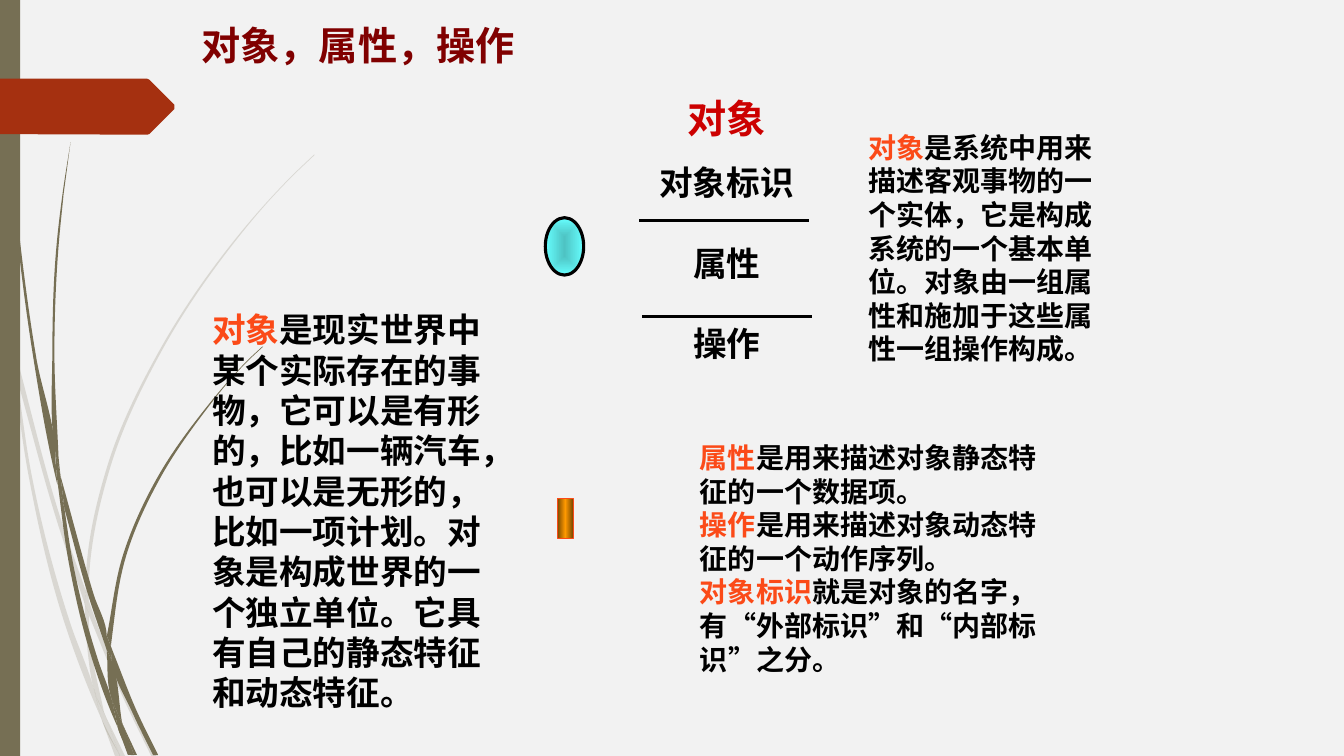
from dataclasses import dataclass
from math import dist

from lxml.etree import SubElement
from pptx import Presentation
from pptx.dml.color import RGBColor
from pptx.enum.lang import MSO_LANGUAGE_ID
from pptx.enum.shapes import MSO_CONNECTOR, MSO_SHAPE
from pptx.enum.text import PP_ALIGN
from pptx.oxml import parse_xml
from pptx.oxml.ns import nsdecls, qn
from pptx.util import Pt


@dataclass(frozen=True)
class Theme:
    background: str = "F2F2F2"
    olive: str = "766F54"
    rust: str = "A53010"
    title: str = "800000"
    heading: str = "CC0000"
    key: str = "FB4A18"
    ink: str = "000000"
    title_size: int = 28
    large: int = 24
    body: int = 20
    leading: float = 1.2
    gothic: str = "Noto Sans CJK JP"
    hei: str = "Noto Sans CJK SC"
    roman: str = "Times New Roman"


T = Theme()
W, H = 960, 540

# Blades of grass: each is a closed outline made of smooth edges
PALE_BLADES = [
    ([(7.9, 252), (6.5, 231.8), (0, 203)], [(0, 215.3), (7.2, 247.7)]),
    ([(12.2, 270.7), (41.8, 375.8), (60.5, 431.3)], [(61.2, 421.9), (44.6, 374.4), (10.1, 248.4)]),
    ([(63.4, 439.2), (88.6, 499.7), (108, 540)],
     [(111.6, 540), (91.4, 498.2), (66.2, 437), (63.4, 429.1)]),
    ([(75.6, 511.9), (85.7, 540)], [(89.3, 540)]),
    ([(7.9, 252), (20.2, 338.4), (46.8, 447.1), (66.2, 499), (72.7, 514.1)],
     [(71.3, 509), (67, 491.8), (50.4, 445.7), (22.3, 337.7), (12.2, 270.7)]),
    ([(60.5, 431.3), (62.6, 465.1), (67, 491.8), (69.1, 498.2), (75.6, 511.9)],
     [(74.2, 508.3), (65.5, 465.1), (63.4, 439.2), (63.4, 437.8)]),
    ([(61.2, 421.9), (61.2, 420.5), (77, 331.9), (113.8, 250.6), (164.2, 175.7),
      (193, 141.8), (208.1, 126), (224.6, 110.2)],
     [(224.6, 110.9), (208.8, 126), (193, 142.6), (164.9, 176.4), (115.2, 251.3),
      (79.2, 332.6), (63.4, 420.5), (63.4, 429.1)]),
    ([(72.7, 514.1), (82.1, 540)], [(85.7, 540)]),
    ([(61.2, 421.9), (60.5, 431.3)], [(63.4, 437.8), (63.4, 429.1)]),
    ([(67, 491.8), (71.3, 509), (72.7, 514.1), (85.7, 540)], [(75.6, 511.9), (69.1, 498.2)]),
]
DARK_BLADES = [
    ([(2.2, 0), (2.9, 34.6), (5, 79.2), (12.2, 167.8), (23.8, 255.6), (40.3, 343.4), (41, 346.3)],
     [(39.6, 329), (39.6, 326.2), (25.9, 255.6), (13.7, 167), (5.8, 78.5), (3.6, 34.6), (2.9, 0)]),
    ([(46.1, 363.6), (63.4, 426.2), (76.3, 464.4)],
     [(76.3, 455.8), (76.3, 454.3), (67, 424.8), (43.2, 339.8)]),
    ([(79.2, 461.5), (79.9, 472.3), (95, 509.8), (109.4, 539.3)],
     [(113, 539.3), (97.9, 508.3), (81.4, 467.3)]),
    ([(41, 343.4), (49, 401), (67, 474.5), (79.9, 509.8), (84.2, 519.8)],
     [(83.5, 516.2), (79.2, 497.5), (70.6, 473), (51.8, 400.3), (46.1, 363.6)]),
    ([(50.4, 101.5), (44.6, 139), (40.3, 176.4), (37.4, 251.3), (39.6, 323.3), (43.2, 339.8)],
     [(41.8, 326.2), (38.9, 251.3), (41.8, 176.4), (45.4, 139)]),
    ([(87.8, 517.7), (95.8, 539.3)], [(97.9, 539.3)]),
    ([(39.6, 326.2), (41, 343.4), (46.1, 363.6)], [(43.2, 339.8), (39.6, 323.3)]),
    ([(76.3, 454.3), (87.8, 396.7), (112.3, 341.3), (146.9, 291.6), (166.3, 268.6),
      (176.4, 257.8), (187.2, 247.7)],
     [(187.9, 247.7), (176.4, 258.5), (166.3, 269.3), (147.6, 292.3), (113.8, 342.7),
      (90, 397.4), (79.9, 455.8), (79.2, 461.5)]),
    ([(84.2, 519.8), (91.4, 539.3)], [(94.3, 539.3)]),
    ([(76.3, 464.4), (79.2, 497.5), (83.5, 508.3), (87.8, 517.7)],
     [(87.1, 515.5), (79.9, 472.3), (78.5, 468.7)]),
    ([(76.3, 454.3), (76.3, 464.4)], [(78.5, 468.7), (79.9, 472.3)], [(79.2, 461.5)]),
    ([(79.2, 497.5), (83.5, 516.2), (84.2, 519.8), (93.6, 539.3)],
     [(95.8, 539.3), (87.8, 517.7), (83.5, 508.3)]),
]
RIBBON = [[point] for point in (
    (0, 56.2), (105.1, 56.2), (106.6, 56.9), (124.6, 74.9), (124.6, 77.8),
    (106.6, 95.8), (105.1, 96.2), (0, 95.8))]


def rgb(color):
    return RGBColor.from_string(color)


def tangents(edge):
    """Unit direction of a smooth edge at each of its points."""
    steps = []
    for a, b in zip(edge, edge[1:]):
        n = dist(a, b)
        steps.append(((b[0] - a[0]) / n, (b[1] - a[1]) / n, n))
    result = []
    for a, b in zip(steps[:1] + steps, steps + steps[-1:]):
        x, y = (a[i] * b[2] + b[i] * a[2] for i in (0, 1))
        n = dist((0, 0), (x, y))
        result.append((x / n, y / n))
    return result


def add_outline(slide, x, y, edges, color, alpha=None):
    points, curves = [], []
    for edge in edges:
        points.append(edge[0])
        ways = tangents(edge)
        for a, b, u, v in zip(edge, edge[1:], ways, ways[1:]):
            k = dist(a, b) / 3
            curves.append(len(points) - 1)
            points += [(a[0] + u[0] * k, a[1] + u[1] * k), (b[0] - v[0] * k, b[1] - v[1] * k), b]
    spots = [(Pt(x + px), Pt(y + py)) for px, py in points]
    builder = slide.shapes.build_freeform(*spots[0])
    builder.add_line_segments(spots[1:], close=True)
    s = builder.convert_to_shape()
    # Each curved step takes three vertices
    lines = list(s.element.spPr.iter(qn("a:lnTo")))
    for i in curves:
        bezier = parse_xml(f'<a:cubicBezTo {nsdecls("a")}/>')
        lines[i].addprevious(bezier)
        for line in lines[i:i + 3]:
            bezier.append(line[0])
            line.getparent().remove(line)
    paint(s, color, alpha)


def paint(s, color, alpha=None):
    s.shadow.inherit = False
    s.fill.solid()
    s.fill.fore_color.rgb = rgb(color)
    s.line.fill.background()
    if alpha:
        clr = s.element.spPr.find(qn("a:solidFill"))[0]
        SubElement(clr, qn("a:alpha"), val=str(alpha * 1000))


def add_shape(slide, kind, box, color):
    s = slide.shapes.add_shape(kind, *map(Pt, box))
    paint(s, color)
    return s


def add_gradient_shape(slide, kind, box, stops, direction, line, width):
    s = add_shape(slide, kind, box, T.ink)
    gs = "".join(f'<a:gs pos="{pos * 1000}"><a:srgbClr val="{c}"/></a:gs>' for pos, c in stops)
    grad = parse_xml(f'<a:gradFill {nsdecls("a")} rotWithShape="1">'
                     f"<a:gsLst>{gs}</a:gsLst>{direction}</a:gradFill>")
    sp_pr = s.element.spPr
    sp_pr.replace(sp_pr.find(qn("a:solidFill")), grad)
    s.line.color.rgb = rgb(line)
    s.line.width = Pt(width)


def add_text(slide, box, paragraphs, size, wrap=True):
    """Each paragraph is a list of (text, colour, font) runs."""
    tf = slide.shapes.add_textbox(*map(Pt, box)).text_frame
    tf.word_wrap = wrap
    tf.margin_left = tf.margin_right = tf.margin_top = tf.margin_bottom = 0
    for i, runs in enumerate(paragraphs):
        p = tf.paragraphs[0] if i == 0 else tf.add_paragraph()
        p.line_spacing = Pt(size * T.leading)
        for text, color, font in runs:
            r = p.add_run()
            r.text = text
            r.font.size, r.font.bold, r.font.name = Pt(size), True, font
            r.font.color.rgb = rgb(color)
            r.font.language_id = MSO_LANGUAGE_ID.SIMPLIFIED_CHINESE
            SubElement(r._r.get_or_add_rPr(), qn("a:ea"),
                       typeface=T.hei if font == T.roman else font)
    return tf


def add_backdrop(slide, x, y, w, h):
    slide.background.fill.solid()
    slide.background.fill.fore_color.rgb = rgb(T.background)
    for blades, alpha in ((PALE_BLADES, 20), (DARK_BLADES, None)):
        for edges in blades:
            add_outline(slide, x, y, edges, T.olive, alpha)
    add_shape(slide, MSO_SHAPE.RECTANGLE, (x, y, 14.4, h), T.olive)
    add_outline(slide, x, y, RIBBON, T.rust)


def add_symbols(slide, x, y):
    add_gradient_shape(slide, MSO_SHAPE.OVAL, (x, y, 27.4, 41),
                       [(0, "4EC3C3"), (100, "66FFFF")],
                       '<a:path path="shape"><a:fillToRect l="50000" t="50000" '
                       'r="50000" b="50000"/></a:path>', T.ink, 2.25)
    add_gradient_shape(slide, MSO_SHAPE.RECTANGLE, (x + 8.6, y + 200.4, 11.5, 28.8),
                       [(0, "764700"), (50, "FF9900"), (100, "764700")],
                       '<a:lin ang="0" scaled="1"/>', T.key, 0.75)


def add_object_card(slide, x, y, w, h):
    labels = [("对象", 0), ("对象标识", 12), ("属性", 24), ("操作", 24)]
    tf = add_text(slide, (x, y, w, h),
                  [[(text, T.ink, T.roman)] for text, _ in labels], T.large, wrap=False)
    for p, (_, gap) in zip(tf.paragraphs, labels):
        p.alignment = PP_ALIGN.CENTER
        if gap:
            p.space_before = Pt(gap * T.leading)
    head = tf.paragraphs[0]
    head.line_spacing = Pt(T.title_size * T.leading)
    head.runs[0].font.size = Pt(T.title_size)
    head.runs[0].font.color.rgb = rgb(T.heading)
    # Rules between the three parts of the card
    for dx, dy in ((-13.7, 90), (-11.5, 158.2)):
        c = slide.shapes.add_connector(MSO_CONNECTOR.STRAIGHT, Pt(x + dx), Pt(y + dy),
                                       Pt(x + dx + 121.2), Pt(y + dy))
        c.line.color.rgb = rgb(T.ink)
        c.line.width = Pt(2.25)
        SubElement(c.element.spPr, qn("a:effectLst"))


def add_definitions(slide):
    add_text(slide, (151.5, 221, 199.4, 291), [[
        ("对象", T.key, T.gothic),
        ("是现实世界中某个实际存在的事物，它可以是有形的，比如一辆汽车，也可以是无形的，比如一项计划。"
         "对象是构成世界的一个独立单位。它具有自己的静态特征和动态特征。", T.ink, T.gothic)]], T.large)
    names = [("外部标识", "和"), ("内部标识", "之分。")]
    quoted = [run for name, after in names for run in (
        ("“", T.ink, T.hei), (name, T.ink, T.roman), ("”", T.ink, T.hei), (after, T.ink, T.roman))]
    add_text(slide, (500, 314.6, 259.2, 168), [
        [("属性", T.key, T.gothic), ("是用来描述对象静态特征的一个数据项。", T.ink, T.gothic)],
        [("操作", T.key, T.roman), ("是用来描述对象动态特征的一个动作序列。", T.ink, T.roman)],
        [("对象标识", T.key, T.roman), ("就是对象的名字，有", T.ink, T.roman), *quoted]], T.body)
    add_text(slide, (620.3, 93, 165, 168), [[
        ("对象", T.key, T.gothic),
        ("是系统中用来描述客观事物的一个实体，它是构成系统的一个基本单位。对象由一组属性和", T.ink, T.gothic),
        ("施加于这些属性一组操作构成。", T.ink, T.roman)]], T.body)


def main():
    prs = Presentation()
    prs.slide_width, prs.slide_height = Pt(W), Pt(H)
    slide = prs.slides.add_slide(prs.slide_layouts[6])
    add_backdrop(slide, 0, 0, W, H)
    add_text(slide, (144, 15.1, 244.8, 33.8),
             [[("对象，属性，操作", T.title, T.roman)]], T.title_size)
    add_symbols(slide, 389.5, 155.5)
    add_definitions(slide)
    add_object_card(slide, 470.4, 67.6, 97.2, 193.7)
    prs.save("out.pptx")


if __name__ == "__main__":
    main()
